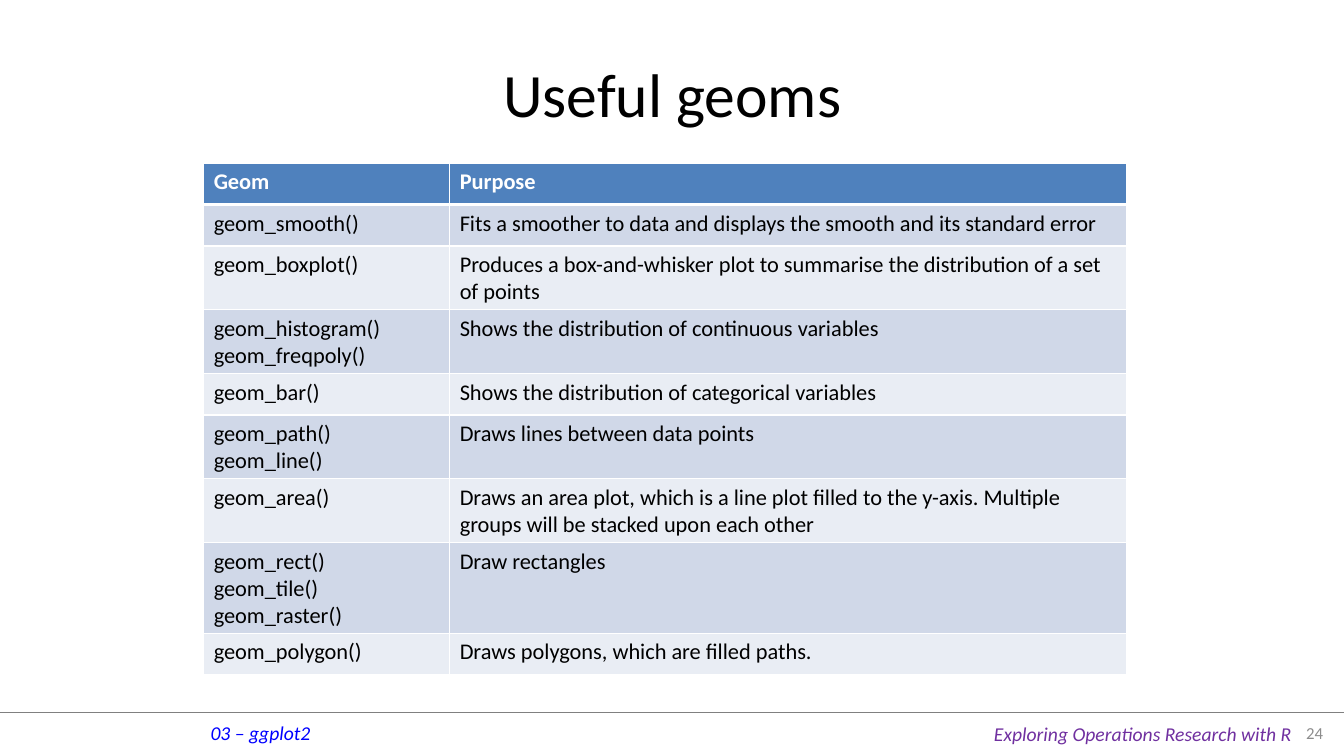
from lxml.etree import SubElement
from pptx import Presentation
from pptx.dml.color import RGBColor
from pptx.enum.text import MSO_ANCHOR as Anchor, PP_ALIGN as Align
from pptx.oxml.ns import qn
from pptx.util import Inches, Pt

GEOMS = [
    ("geom_smooth()", "Fits a smoother to data and displays the smooth and its standard error"),
    ("geom_boxplot()", "Produces a box-and-whisker plot to summarise the distribution of a set of points"),
    ("geom_histogram()\ngeom_freqpoly()", "Shows the distribution of continuous variables"),
    ("geom_bar()", "Shows the distribution of categorical variables"),
    ("geom_path()\ngeom_line()", "Draws lines between data points"),
    ("geom_area()", "Draws an area plot, which is a line plot filled to the y-axis. "
                    "Multiple groups will be stacked upon each other"),
    ("geom_rect()\ngeom_tile()\ngeom_raster()", "Draw rectangles"),
    ("geom_polygon()", "Draws polygons, which are filled paths."),
]


def color(value):
    return RGBColor.from_string(value)


class SlideBuilder:
    font = "Calibri"
    header_fill = "4F81BD"
    band_fills = ("D0D8E8", "E9EDF4")
    border = "FFFFFF"

    def __init__(self, page):
        self.page = page

    def fill_text(self, frame, text, ink, align=Align.LEFT, **style):
        frame.text = text
        for para in frame.paragraphs:
            para.alignment = align
            for span in para.runs:
                for name, value in {"name": self.font, **style}.items():
                    setattr(span.font, name, value)
                span.font.color.rgb = color(ink)

    def text(self, area, text, ink, anchor=Anchor.TOP, wrap=True, **style):
        box = self.page.shapes.add_textbox(*map(Inches, area))
        box.text_frame.word_wrap = wrap
        box.text_frame.vertical_anchor = anchor
        self.fill_text(box.text_frame, text, ink, **style)

    def rule(self, y, width, ink, weight):
        line = self.page.shapes.add_connector(1, 0, Inches(y), Inches(width), Inches(y))
        line.line.color.rgb = color(ink)
        line.line.width = Pt(weight)
        SubElement(line._element.spPr, qn("a:effectLst"))

    def outline(self, cell, bottom):
        properties = cell._tc.get_or_add_tcPr()
        weights = {"lnL": 1, "lnR": 1, "lnT": 1, "lnB": bottom}
        for index, (side, weight) in enumerate(weights.items()):
            edge = properties.makeelement(qn(f"a:{side}"), {"w": str(Pt(weight))})
            fill = SubElement(edge, qn("a:solidFill"))
            SubElement(fill, qn("a:srgbClr"), val=self.border)
            properties.insert(index, edge)

    def table(self, left, top, widths, row_height, rows):
        table = self.page.shapes.add_table(
            len(rows), len(widths), Inches(left), Inches(top),
            Inches(sum(widths)), Inches(row_height * len(rows))).table
        for column, width in zip(table.columns, widths):
            column.width = Inches(width)
        for r, row in enumerate(rows):
            header = r == 0
            table.rows[r].height = Inches(row_height)
            for c, text in enumerate(row):
                cell = table.cell(r, c)
                cell.fill.solid()
                cell.fill.fore_color.rgb = color(
                    self.header_fill if header else self.band_fills[(r - 1) % 2])
                self.outline(cell, 3 if header else 1)
                self.fill_text(cell.text_frame, text, "FFFFFF" if header else "000000",
                               size=Pt(16), bold=header)


def main():
    deck = Presentation()
    deck.slide_width, deck.slide_height = Inches(13.33), Inches(7.5)
    slide = SlideBuilder(deck.slides.add_slide(deck.slide_layouts[6]))

    # Footer
    slide.rule(7.07, 13.33, "808080", 0.25)
    footer = {"wrap": False, "size": Pt(14), "italic": True}
    slide.text((1.99, 7.1, 1.2, 0.34), "03 – ggplot2", "0000FF", **footer)
    slide.text((9.76, 7.11, 3.18, 0.34), "Exploring Operations Research with R",
               "7030A0", **footer)
    slide.text((12.67, 7.07, 0.55, 0.39), "24", "8C8C8C", Anchor.MIDDLE,
               align=Align.RIGHT, size=Pt(12))

    # Title
    slide.text((0.67, 0.3, 12, 1.25), "Useful geoms", "000000", Anchor.MIDDLE,
               align=Align.CENTER, size=Pt(44))

    # Table of geoms
    slide.table(2.02, 1.62, (2.44, 6.71), 0.41, [("Geom", "Purpose"), *GEOMS])

    deck.save("out.pptx")


if __name__ == "__main__":
    main()
